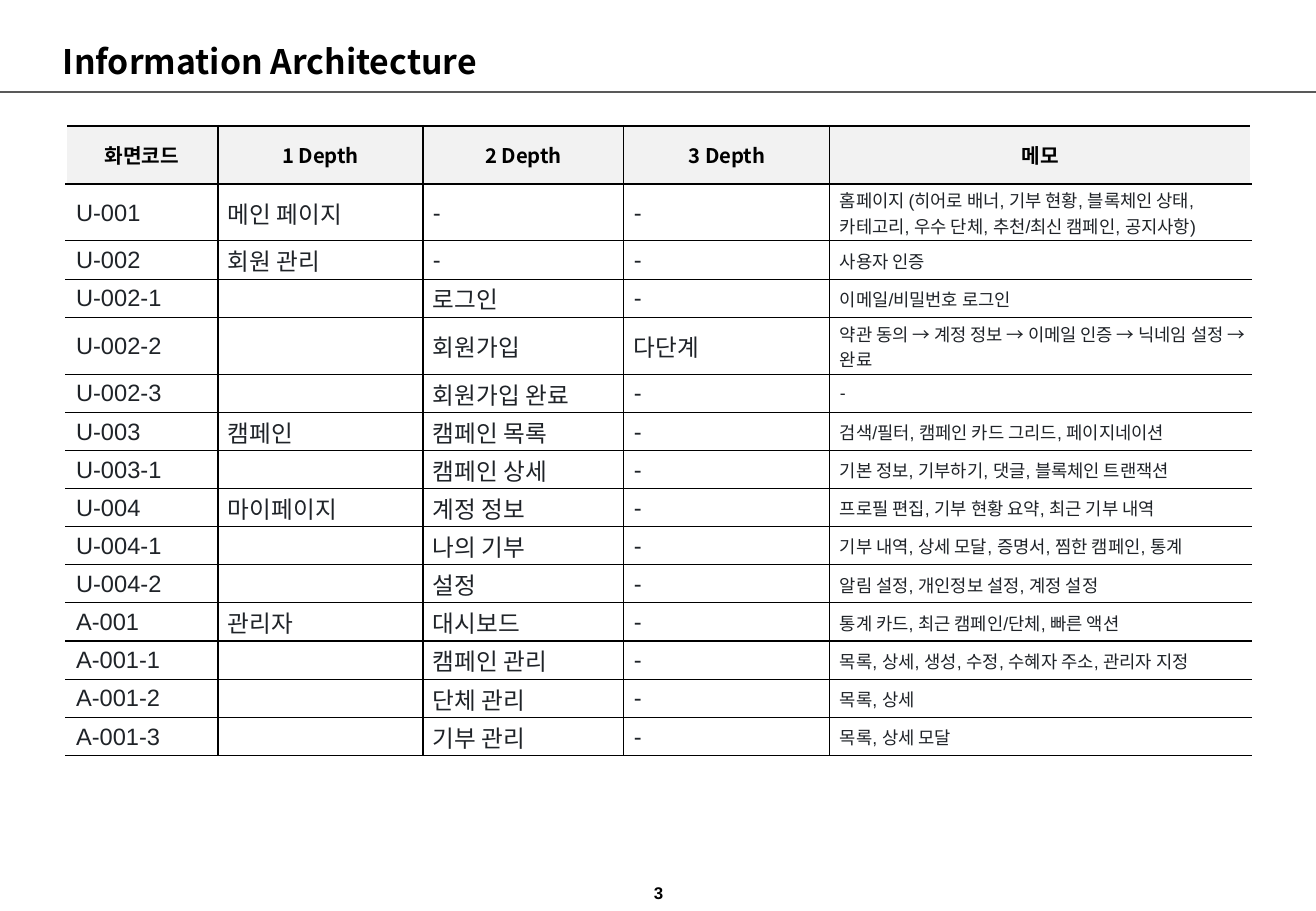
import dataclasses

import lxml.etree
import pptx
import pptx.dml.color
import pptx.enum.shapes
import pptx.enum.text
import pptx.oxml.ns
import pptx.util

EMU_PER_PX = 914400 / 121.5
ALIGN = pptx.enum.text.PP_ALIGN
ANCHOR = pptx.enum.text.MSO_ANCHOR
qn = pptx.oxml.ns.qn


@dataclasses.dataclass(frozen=True)
class Theme:
    black: str = "000000"
    white: str = "FFFFFF"
    body: str = "1F2328"
    rule: str = "595959"
    header_fill: str = "F2F2F2"
    korean_font: str = "Noto Sans CJK KR"
    latin_font: str = "Arial"
    title_size: float = 20
    header_size: float = 12
    cell_size: float = 14
    memo_size: float = 10.5
    number_size: float = 10
    thin: float = 0.75
    edge: float = 1
    thick: float = 1.5


THEME = Theme()

# Table content: code, depth 1 to 3, memo
HEADERS = ("화면코드", "1 Depth", "2 Depth", "3 Depth", "메모")
SCREENS = (
    ("U-001", "메인 페이지", "-", "-",
     "홈페이지 (히어로 배너, 기부 현황, 블록체인 상태, 카테고리, 우수 단체, 추천/최신 캠페인, 공지사항)"),
    ("U-002", "회원 관리", "-", "-", "사용자 인증"),
    ("U-002-1", "", "로그인", "-", "이메일/비밀번호 로그인"),
    ("U-002-2", "", "회원가입", "다단계",
     "약관 동의 → 계정 정보 → 이메일 인증 → 닉네임 설정 → 완료"),
    ("U-002-3", "", "회원가입 완료", "-", "-"),
    ("U-003", "캠페인", "캠페인 목록", "-", "검색/필터, 캠페인 카드 그리드, 페이지네이션"),
    ("U-003-1", "", "캠페인 상세", "-", "기본 정보, 기부하기, 댓글, 블록체인 트랜잭션"),
    ("U-004", "마이페이지", "계정 정보", "-", "프로필 편집, 기부 현황 요약, 최근 기부 내역"),
    ("U-004-1", "", "나의 기부", "-", "기부 내역, 상세 모달, 증명서, 찜한 캠페인, 통계"),
    ("U-004-2", "", "설정", "-", "알림 설정, 개인정보 설정, 계정 설정"),
    ("A-001", "관리자", "대시보드", "-", "통계 카드, 최근 캠페인/단체, 빠른 액션"),
    ("A-001-1", "", "캠페인 관리", "-", "목록, 상세, 생성, 수정, 수혜자 주소, 관리자 지정"),
    ("A-001-2", "", "단체 관리", "-", "목록, 상세"),
    ("A-001-3", "", "기부 관리", "-", "목록, 상세 모달"),
)
COLUMN_WIDTHS = (152, 205, 201, 206, 421)
TABLE_HEIGHT = 630
TALL_ROWS = {0: 58, 1: 57, 4: 57}


def px(length):
    return pptx.util.Emu(round(length * EMU_PER_PX))


def rgb(value):
    return pptx.dml.color.RGBColor.from_string(value)


def apply(target, values):
    for name, value in values.items():
        setattr(target, name, value)


def write(para, text, size, font, color, bold=False, align=ALIGN.LEFT):
    para.alignment = align
    if not text:
        para._p.get_or_add_endParaRPr().set("sz", str(round(size * 100)))
        return
    span = para.add_run()
    span.text = text
    apply(span.font, {"size": pptx.util.Pt(size), "name": font, "bold": bold})
    span.font.color.rgb = rgb(color)
    east_asian = lxml.etree.Element(qn("a:ea"), typeface=THEME.korean_font)
    span._r.rPr.find(qn("a:latin")).addnext(east_asian)


def add_text(page, bounds, text, anchor, **style):
    box = page.shapes.add_textbox(*map(px, bounds))
    apply(box.text_frame, {"word_wrap": True, "vertical_anchor": anchor})
    write(box.text_frame.paragraphs[0], text, **style)


def add_rule(page, y, width):
    line = page.shapes.add_connector(
        pptx.enum.shapes.MSO_CONNECTOR.STRAIGHT, px(0), px(y), px(width), px(y))
    line.line.color.rgb = rgb(THEME.rule)
    line.line.width = pptx.util.Pt(THEME.thick)
    lxml.etree.SubElement(line._element.spPr, qn("a:effectLst"))


def set_borders(cell, borders):
    properties = cell._tc.get_or_add_tcPr()
    for side, (color, width) in borders.items():
        border = lxml.etree.SubElement(
            properties, qn(f"a:ln{side}"), w=str(pptx.util.Pt(width)))
        fill = lxml.etree.SubElement(border, qn("a:solidFill"))
        lxml.etree.SubElement(fill, qn("a:srgbClr"), val=color)


def format_cell(cell, text, is_header, is_first, is_last):
    thin, edge = (THEME.black, THEME.thin), (THEME.white, THEME.edge)
    set_borders(cell, {
        "L": edge if is_first else thin,
        "R": edge if is_last else thin,
        "T": (THEME.black, THEME.thick) if is_header else thin,
        "B": thin,
    })
    margins = (9, 5, 9, 5) if is_header else (10, 1, 1, 0)
    sides = ("margin_left", "margin_top", "margin_right", "margin_bottom")
    apply(cell, dict(zip(sides, map(px, margins))))
    cell.vertical_anchor = ANCHOR.MIDDLE
    para = cell.text_frame.paragraphs[0]
    if is_header:
        cell.fill.solid()
        cell.fill.fore_color.rgb = rgb(THEME.header_fill)
        write(para, text, THEME.header_size, THEME.korean_font, THEME.black,
              bold=True, align=ALIGN.CENTER)
    else:
        cell.fill.background()
        size = THEME.memo_size if is_last else THEME.cell_size
        write(para, text, size, THEME.latin_font, THEME.body)


def add_screen_table(page, left, top):
    rows = (HEADERS, *SCREENS)
    table = page.shapes.add_table(
        len(rows), len(HEADERS), px(left), px(top),
        px(sum(COLUMN_WIDTHS)), px(TABLE_HEIGHT)).table
    apply(table, {"first_row": False, "horz_banding": False})
    for column, width in zip(table.columns, COLUMN_WIDTHS):
        column.width = px(width)
    # Single-line rows share the height that the tall rows leave
    plain_height = ((TABLE_HEIGHT - sum(TALL_ROWS.values()))
                    / (len(rows) - len(TALL_ROWS)))
    last = len(HEADERS) - 1
    for r, texts in enumerate(rows):
        table.rows[r].height = px(TALL_ROWS.get(r, plain_height))
        for c, text in enumerate(texts):
            format_cell(table.cell(r, c), text, r == 0, c == 0, c == last)


def main():
    deck = pptx.Presentation()
    apply(deck, {"slide_width": px(1316), "slide_height": px(911)})
    page = deck.slides.add_slide(deck.slide_layouts[6])

    # Page number and heading rule
    add_text(page, (620, 877, 77, 33), "3", ANCHOR.TOP, size=THEME.number_size,
             font=THEME.latin_font, color=THEME.black, bold=True, align=ALIGN.CENTER)
    add_rule(page, 92, 1316)

    # Title
    add_text(page, (51, 26, 1215, 61), "Information Architecture", ANCHOR.BOTTOM,
             size=THEME.title_size, font=THEME.korean_font, color=THEME.black, bold=True)

    # Screen list
    add_screen_table(page, 66, 126)
    deck.save("out.pptx")


if __name__ == "__main__":
    main()
